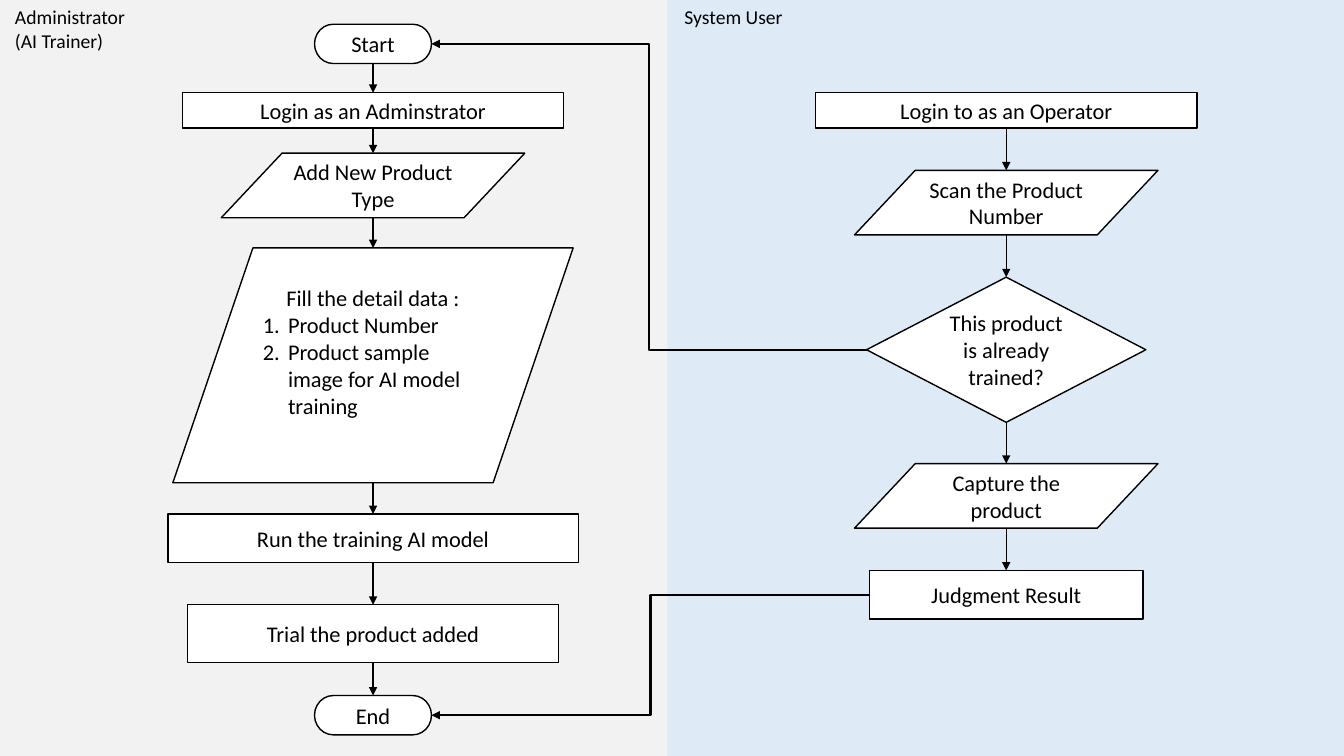
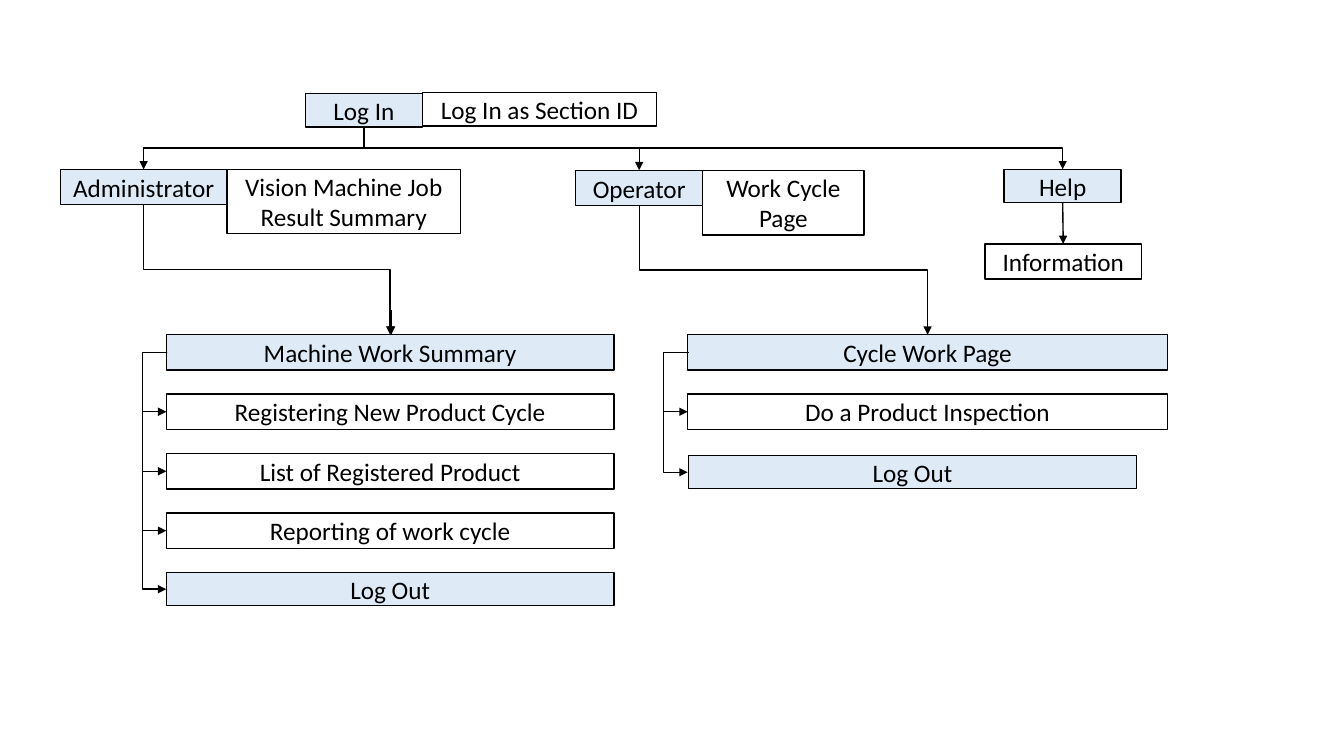
from dataclasses import dataclass
from itertools import pairwise

from lxml import etree
from pptx import Presentation
from pptx.dml.color import RGBColor
from pptx.enum.shapes import MSO_CONNECTOR, MSO_SHAPE
from pptx.enum.text import MSO_ANCHOR, MSO_AUTO_SIZE, PP_ALIGN
from pptx.oxml.ns import qn
from pptx.slide import Slide
from pptx.util import Inches, Pt

STRAIGHT, ELBOW = MSO_CONNECTOR.STRAIGHT, MSO_CONNECTOR.ELBOW
RECT, PROCESS = MSO_SHAPE.RECTANGLE, MSO_SHAPE.FLOWCHART_PROCESS
TERMINATOR, DATA = MSO_SHAPE.FLOWCHART_TERMINATOR, MSO_SHAPE.FLOWCHART_DATA
DECISION = MSO_SHAPE.DIAMOND
CENTER, LEFT = PP_ALIGN.CENTER, PP_ALIGN.LEFT
MIDDLE, GROW = MSO_ANCHOR.MIDDLE, MSO_AUTO_SIZE.SHAPE_TO_FIT_TEXT


@dataclass(frozen=True)
class Theme:
    font: str = "Calibri"
    ink: RGBColor = RGBColor(0x00, 0x00, 0x00)
    paper: RGBColor = RGBColor(0xFF, 0xFF, 0xFF)
    gray: RGBColor = RGBColor(0xF2, 0xF2, 0xF2)
    blue: RGBColor = RGBColor(0xDE, 0xEB, 0xF7)
    lane_size: int = 14
    flow_size: int = 16
    menu_size: int = 18
    line: float = 1
    cross_line: float = 1.5


THEME = Theme()
Point = tuple[float, float]


@dataclass(frozen=True)
class Box:
    text: str
    left: float
    top: float
    width: float
    height: float
    fill: RGBColor = THEME.paper
    preset: MSO_SHAPE = RECT
    size: int = THEME.menu_size
    items: tuple[str, ...] = ()
    bottom_inset: float = 0.05

    @property
    def center_x(self) -> float:
        return self.left + self.width / 2

    @property
    def middle_y(self) -> float:
        return self.top + self.height / 2

    @property
    def head(self) -> Point:
        return self.center_x, self.top

    @property
    def foot(self) -> Point:
        return self.center_x, self.top + self.height

    @property
    def start(self) -> Point:
        return self.left, self.middle_y

    @property
    def end(self) -> Point:
        return self.left + self.width, self.middle_y


def step(text: str, center: float, top: float, width: float, height: float,
         preset: MSO_SHAPE = PROCESS, **extra) -> Box:
    return Box(text, center - width / 2, top, width, height, preset=preset,
               size=THEME.flow_size, **extra)


def write(paragraph, text: str, size: int) -> None:
    run = paragraph.add_run()
    run.text = text
    run.font.color.rgb = THEME.ink
    for name, value in {"name": THEME.font, "size": Pt(size)}.items():
        setattr(run.font, name, value)


def number(paragraph) -> None:
    properties = paragraph._p.get_or_add_pPr()
    indent = Inches(0.25)
    for name, value in {"marL": indent, "indent": -indent}.items():
        properties.set(name, str(value))
    etree.SubElement(properties, qn("a:buFont"), typeface="+mj-lt")
    etree.SubElement(properties, qn("a:buAutoNum"), type="arabicPeriod")


def draw_box(slide: Slide, box: Box, outlined: bool = True) -> None:
    shape = slide.shapes.add_shape(box.preset, Inches(box.left), Inches(box.top),
                                   Inches(box.width), Inches(box.height))
    shape.shadow.inherit = False
    shape.fill.solid()
    shape.fill.fore_color.rgb = box.fill
    if not outlined:
        shape.line.fill.background()
        return
    shape.line.color.rgb = THEME.ink
    shape.line.width = Pt(THEME.line)
    frame = shape.text_frame
    layout = {"word_wrap": True, "vertical_anchor": MIDDLE,
              "margin_bottom": Inches(box.bottom_inset)}
    for name, value in layout.items():
        setattr(frame, name, value)
    frame.paragraphs[0].alignment = CENTER
    write(frame.paragraphs[0], box.text, box.size)
    for item in box.items:
        paragraph = frame.add_paragraph()
        paragraph.alignment = LEFT
        number(paragraph)
        write(paragraph, item, box.size)


def draw_lane_label(slide: Slide, lines: tuple[str, ...], left: float,
                    width: float, height: float) -> None:
    frame = slide.shapes.add_textbox(Inches(left), 0, Inches(width),
                                     Inches(height)).text_frame
    for name, value in {"word_wrap": False, "auto_size": GROW}.items():
        setattr(frame, name, value)
    for index, line in enumerate(lines):
        paragraph = frame.add_paragraph() if index else frame.paragraphs[0]
        write(paragraph, line, THEME.lane_size)


def draw_arrow(slide: Slide, begin: Point, end: Point, route: MSO_CONNECTOR = STRAIGHT,
               weight: float = THEME.line):
    arrow = slide.shapes.add_connector(route, *map(Inches, begin + end))
    arrow.line.color.rgb = THEME.ink
    arrow.line.width = Pt(weight)
    etree.SubElement(arrow.line._get_or_add_ln(), qn("a:tailEnd"), type="triangle")
    etree.SubElement(arrow._element.spPr, qn("a:effectLst"))
    return arrow


def draw_drop(slide: Slide, begin: Point, end: Point) -> None:
    (x1, y1), (x2, y2) = begin, end
    across, down = abs(x2 - x1), y2 - y1
    left, top = (x1 + x2 - down) / 2, (y1 + y2 - across) / 2
    arrow = draw_arrow(slide, (left, top), (left + down, top + across), ELBOW)
    turn = {"rot": "16200000", "flipH": "1"} if x2 > x1 else {"rot": "5400000"}
    for name, value in turn.items():
        arrow._element.spPr.find(qn("a:xfrm")).set(name, value)


def draw_bracket(slide: Slide, parent: Box, child: Box) -> None:
    overlap, reach = 0.01, 0.25
    x, y = parent.start
    arrow = draw_arrow(slide, (x + overlap, y), (x, child.middle_y), ELBOW)
    guides = arrow._element.spPr.find(qn("a:prstGeom")).find(qn("a:avLst"))
    etree.SubElement(guides, qn("a:gd"), name="adj1",
                     fmla=f"val {round(reach / overlap * 100000)}")


def build_flow(slide: Slide) -> None:
    for left, color in ((0, THEME.gray), (6.62, THEME.blue)):
        draw_box(slide, Box("", left, 0, 6.71, 7.5, color), outlined=False)
    draw_lane_label(slide, ("Administrator", "(AI Trainer)"), 0.05, 1.31, 0.57)
    draw_lane_label(slide, ("System User",), 6.69, 1.18, 0.34)

    trainer, user = 3.7, 9.98
    start = step("Start", trainer, 0.24, 1.16, 0.39, TERMINATOR)
    finish = step("End", trainer, 6.9, 1.16, 0.39, TERMINATOR)
    check = step("This product is already trained?", user, 2.75, 2.77, 1.44, DECISION)
    judgment = step("Judgment Result", user, 5.66, 2.71, 0.48)
    training = [
        start,
        step("Login as an Adminstrator", trainer, 0.92, 3.78, 0.35),
        step("Add New Product Type", trainer, 1.52, 3.01, 0.64, DATA),
        step("Fill the detail data :", trainer, 2.46, 3.97, 2.33, DATA,
             items=("Product Number", "Product sample image for AI model training"),
             bottom_inset=0.32),
        step("Run the training AI model", trainer, 5.1, 4.07, 0.48),
        step("Trial the product added", trainer, 6, 3.68, 0.57),
        finish,
    ]
    inspection = [
        step("Login to as an Operator", user, 0.92, 3.78, 0.35),
        step("Scan the Product Number", user, 1.69, 3.01, 0.64, DATA),
        check,
        step("Capture the product", user, 4.6, 3.01, 0.64, DATA),
        judgment,
    ]
    for flow in (training, inspection):
        for box in flow:
            draw_box(slide, box)
        for upper, lower in pairwise(flow):
            draw_arrow(slide, upper.foot, lower.head)
    for source, target in ((check, start), (judgment, finish)):
        draw_arrow(slide, source.start, target.end, ELBOW, THEME.cross_line)


def build_menu_map(slide: Slide) -> None:
    blue = THEME.blue
    login = Box("Log In", 3.03, 0.93, 1.16, 0.33, blue)
    administrator = Box("Administrator", 0.6, 1.68, 1.65, 0.35, blue)
    operator = Box("Operator", 5.71, 1.69, 1.26, 0.35, blue)
    assistance = Box("Help", 9.96, 1.68, 1.16, 0.33, blue)
    information = Box("Information", 9.77, 2.42, 1.55, 0.35)
    pages = [
        login, administrator, operator, assistance, information,
        Box("Log In as Section ID", 4.19, 0.92, 2.32, 0.33),
        Box("Vision Machine Job Result Summary", 2.25, 1.68, 2.32, 0.64),
        Box("Work Cycle Page", 6.97, 1.69, 1.6, 0.64),
    ]

    first_row, row_pitch = 3.32, 0.59
    summary = Box("Machine Work Summary", 1.65, first_row, 4.44, 0.35, blue)
    cycle = Box("Cycle Work Page", 6.82, first_row, 4.76, 0.35, blue)
    tasks = {
        summary: ("Registering New Product Cycle", "List of Registered Product",
                  "Reporting of work cycle"),
        cycle: ("Do a Product Inspection",),
    }
    log_outs = {
        summary: Box("Log Out", 1.65, 5.68, 4.44, 0.33, blue),
        cycle: Box("Log Out", 6.83, 4.52, 4.44, 0.33, blue),
    }
    for box in pages:
        draw_box(slide, box)
    for parent, names in tasks.items():
        children = [Box(name, parent.left, first_row + row * row_pitch,
                        parent.width, parent.height)
                    for row, name in enumerate(names, 1)]
        children.append(log_outs[parent])
        draw_box(slide, parent)
        for child in children:
            draw_box(slide, child)
            draw_bracket(slide, parent, child)

    for source, target in ((login, administrator), (login, operator), (login, assistance),
                           (administrator, summary), (operator, cycle)):
        draw_drop(slide, source.foot, target.head)
    draw_arrow(slide, assistance.foot, information.head)
    draw_arrow(slide, (3.88, 3.08), (3.88, first_row))


def main() -> None:
    deck = Presentation()
    deck.slide_width, deck.slide_height = Inches(13.33), Inches(7.5)
    for build in (build_flow, build_menu_map):
        build(deck.slides.add_slide(deck.slide_layouts[6]))
    deck.save("out.pptx")


if __name__ == "__main__":
    main()
